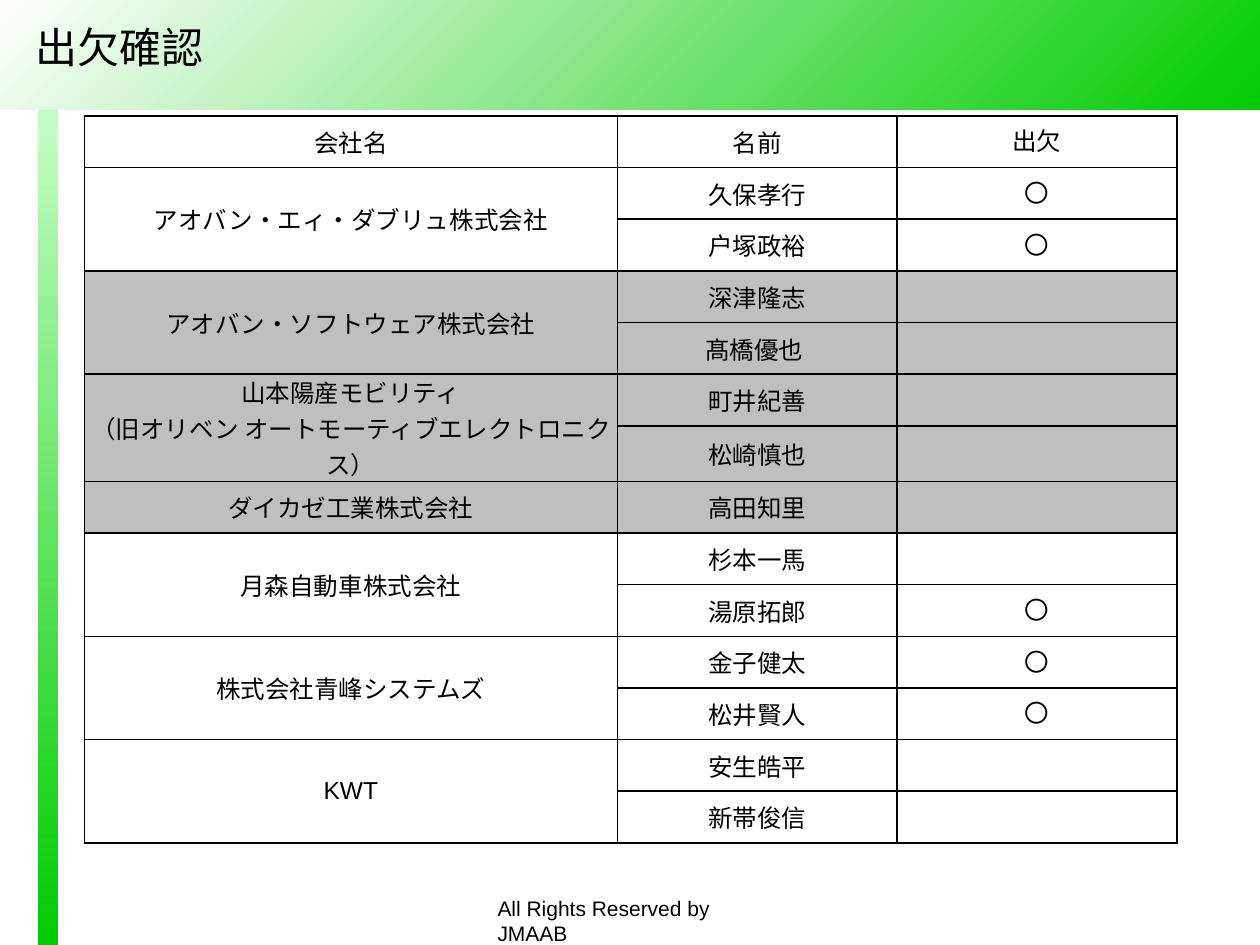
"""Build the attendance check slide with its company, name and attendance table."""

from dataclasses import dataclass

from lxml.etree import SubElement
from pptx import Presentation
from pptx.dml.color import RGBColor
from pptx.enum.shapes import MSO_SHAPE
from pptx.enum.text import MSO_ANCHOR, MSO_AUTO_SIZE, PP_ALIGN
from pptx.oxml.ns import qn
from pptx.slide import Slide
from pptx.table import _Cell
from pptx.text.text import TextFrame
from pptx.util import Inches, Pt

COLORS = {
    "black": "000000",
    "white": "FFFFFF",
    "pale_green": "CCFFCC",
    "green": "00CC00",
    "gray": "BFBFBF",
}
LATIN_FONT = "Arial"
JAPANESE_FONT = "Noto Sans CJK JP"
HEADINGS = ("会社名", "名前", "出欠")
COLUMN_WIDTHS = (4.23, 2.22, 2.22)
ROW_HEIGHT = 0.41
PRESENT = "〇"


@dataclass(frozen=True)
class Band:
    left: float
    top: float
    width: float
    height: float
    start: str
    angle: int


@dataclass(frozen=True)
class Member:
    name: str
    attendance: str = ""


@dataclass(frozen=True)
class Company:
    name: str
    members: tuple[Member, ...]
    fill: str | None = None


BANDS = (
    Band(0.3, 0.6, 0.16, 6.9, "pale_green", 270),
    Band(0, 0, 10, 0.87, "white", 315),
)
COMPANIES = (
    Company("アオバン・エィ・ダブリュ株式会社",
            (Member("久保孝行", PRESENT), Member("戸塚政裕", PRESENT))),
    Company("アオバン・ソフトウェア株式会社",
            (Member("深津隆志"), Member("髙橋優也 ")), "gray"),
    Company("山本陽産モビリティ\n（旧オリベン オートモーティブエレクトロニクス）",
            (Member("町井紀善"), Member("松崎慎也")), "gray"),
    Company("ダイカゼ工業株式会社", (Member("高田知里"),), "gray"),
    Company("月森自動車株式会社",
            (Member("杉本一馬"), Member("湯原拓郎", PRESENT))),
    Company("株式会社青峰システムズ",
            (Member("金子健太", PRESENT), Member("松井賢人", PRESENT))),
    Company("KWT", (Member("安生皓平"), Member("新帯俊信"))),
)


def rgb(name: str) -> RGBColor:
    return RGBColor.from_string(COLORS[name])


def write_text(frame: TextFrame, text: str, *, size: int, font: str = LATIN_FONT,
               align: PP_ALIGN = PP_ALIGN.LEFT) -> None:
    frame.text = text
    for paragraph in frame.paragraphs:
        paragraph.alignment = align
        for run in paragraph.runs:
            run.font.size = Pt(size)
            run.font.bold = False
            run.font.name = font
            run.font.color.rgb = rgb("black")
            SubElement(run.font._element, qn("a:ea"), typeface=JAPANESE_FONT)


def draw_band(slide: Slide, band: Band) -> None:
    shape = slide.shapes.add_shape(
        MSO_SHAPE.RECTANGLE, Inches(band.left), Inches(band.top),
        Inches(band.width), Inches(band.height))
    shape.shadow.inherit = False
    shape.line.fill.background()
    shape.fill.gradient()
    shape.fill.gradient_angle = band.angle
    for stop, color in zip(shape.fill.gradient_stops, (band.start, "green")):
        stop.color.rgb = rgb(color)


def draw_title(slide: Slide, text: str) -> None:
    title = slide.shapes.title
    title.left, title.top = Inches(0.18), Inches(0.14)
    title.width, title.height = Inches(6.86), Inches(0.46)
    title.text_frame.auto_size = MSO_AUTO_SIZE.NONE
    title.text_frame.vertical_anchor = MSO_ANCHOR.MIDDLE
    write_text(title.text_frame, text, size=24, font=JAPANESE_FONT)
    slide.shapes._spTree.append(title._element)


def draw_footer(slide: Slide, text: str) -> None:
    footer = slide.shapes.add_textbox(Inches(3.85), Inches(7.06), Inches(2.48), Inches(0.3))
    footer.text_frame.word_wrap = True
    write_text(footer.text_frame, text, size=12)


def style_cell(cell: _Cell, fill: str | None) -> None:
    properties = cell._tc.get_or_add_tcPr()
    for side in ("lnL", "lnR", "lnT", "lnB"):
        border = SubElement(properties, qn(f"a:{side}"), w=str(Pt(1)))
        solid = SubElement(border, qn("a:solidFill"))
        SubElement(solid, qn("a:srgbClr"), val=COLORS["black"])
    if fill:
        cell.fill.solid()
        cell.fill.fore_color.rgb = rgb(fill)
    else:
        cell.fill.background()


def write_cell(cell: _Cell, text: str, *, compact: bool = True) -> None:
    if compact:
        cell.vertical_anchor = MSO_ANCHOR.MIDDLE
        cell.margin_left = cell.margin_right = cell.margin_top = cell.margin_bottom = 0
    write_text(cell.text_frame, text, size=14, align=PP_ALIGN.CENTER)


def draw_table(slide: Slide, companies: tuple[Company, ...]) -> None:
    row_count = 1 + sum(len(company.members) for company in companies)
    table = slide.shapes.add_table(
        row_count, len(HEADINGS), Inches(0.67), Inches(0.92),
        Inches(sum(COLUMN_WIDTHS)), Inches(row_count * ROW_HEIGHT)).table
    table.first_row = table.horz_banding = False
    for column, width in zip(table.columns, COLUMN_WIDTHS):
        column.width = Inches(width)
    for row in table.rows:
        row.height = Inches(ROW_HEIGHT)

    for index, heading in enumerate(HEADINGS):
        style_cell(table.cell(0, index), None)
        write_cell(table.cell(0, index), heading, compact=index < 2)

    first = 1
    for company in companies:
        last = first + len(company.members) - 1
        for row, member in enumerate(company.members, first):
            for column in range(len(HEADINGS)):
                style_cell(table.cell(row, column), company.fill)
            write_cell(table.cell(row, 1), member.name)
            write_cell(table.cell(row, 2), member.attendance, compact=False)
        if last > first:
            table.cell(first, 0).merge(table.cell(last, 0))
        write_cell(table.cell(first, 0), company.name)
        first = last + 1


def main() -> None:
    presentation = Presentation()
    presentation.slide_width, presentation.slide_height = Inches(10), Inches(7.5)
    slide = presentation.slides.add_slide(presentation.slide_layouts[5])
    for band in BANDS:
        draw_band(slide, band)
    draw_footer(slide, "All Rights Reserved by JMAAB")
    draw_title(slide, "出欠確認")
    draw_table(slide, COMPANIES)
    presentation.save("out.pptx")


if __name__ == "__main__":
    main()
